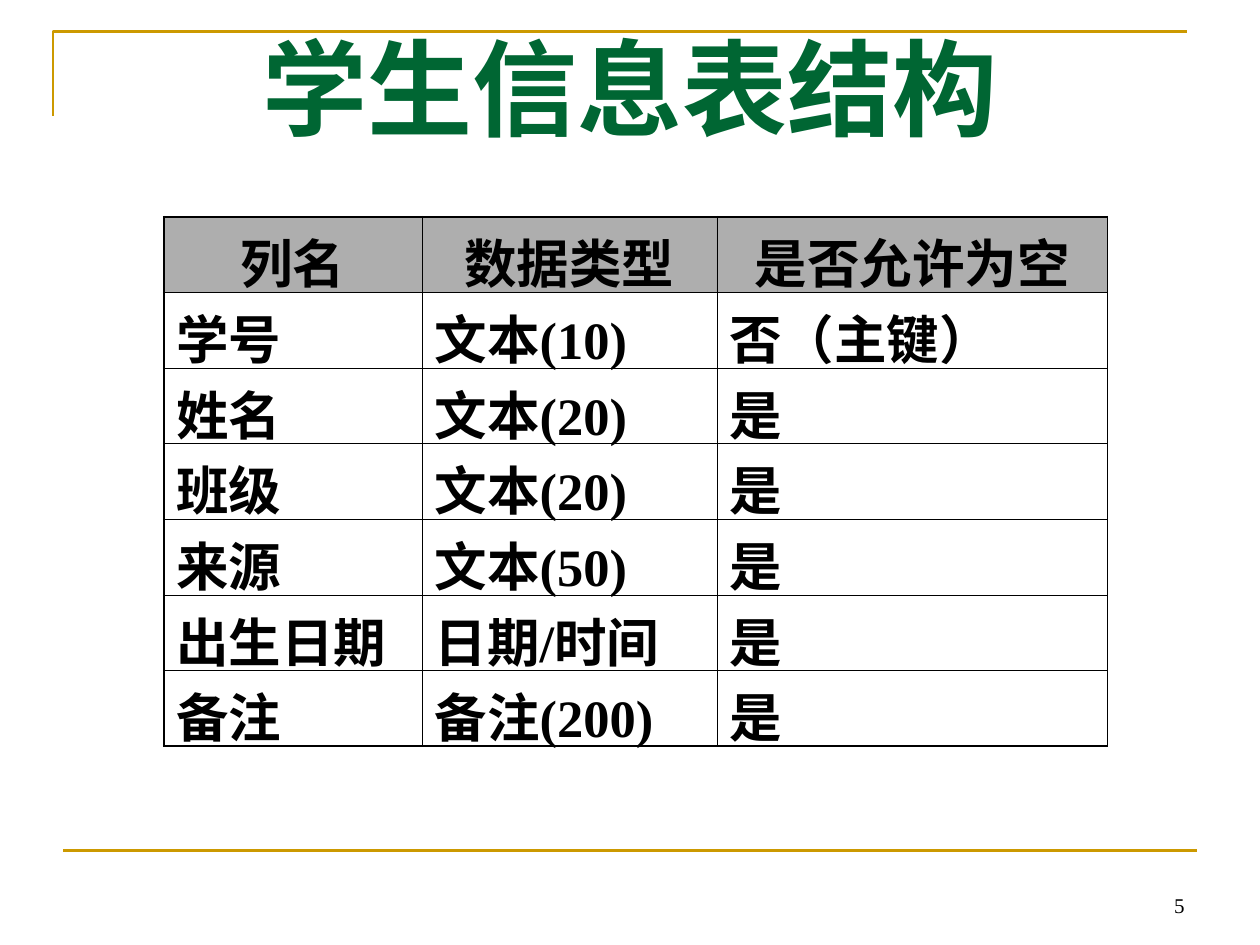
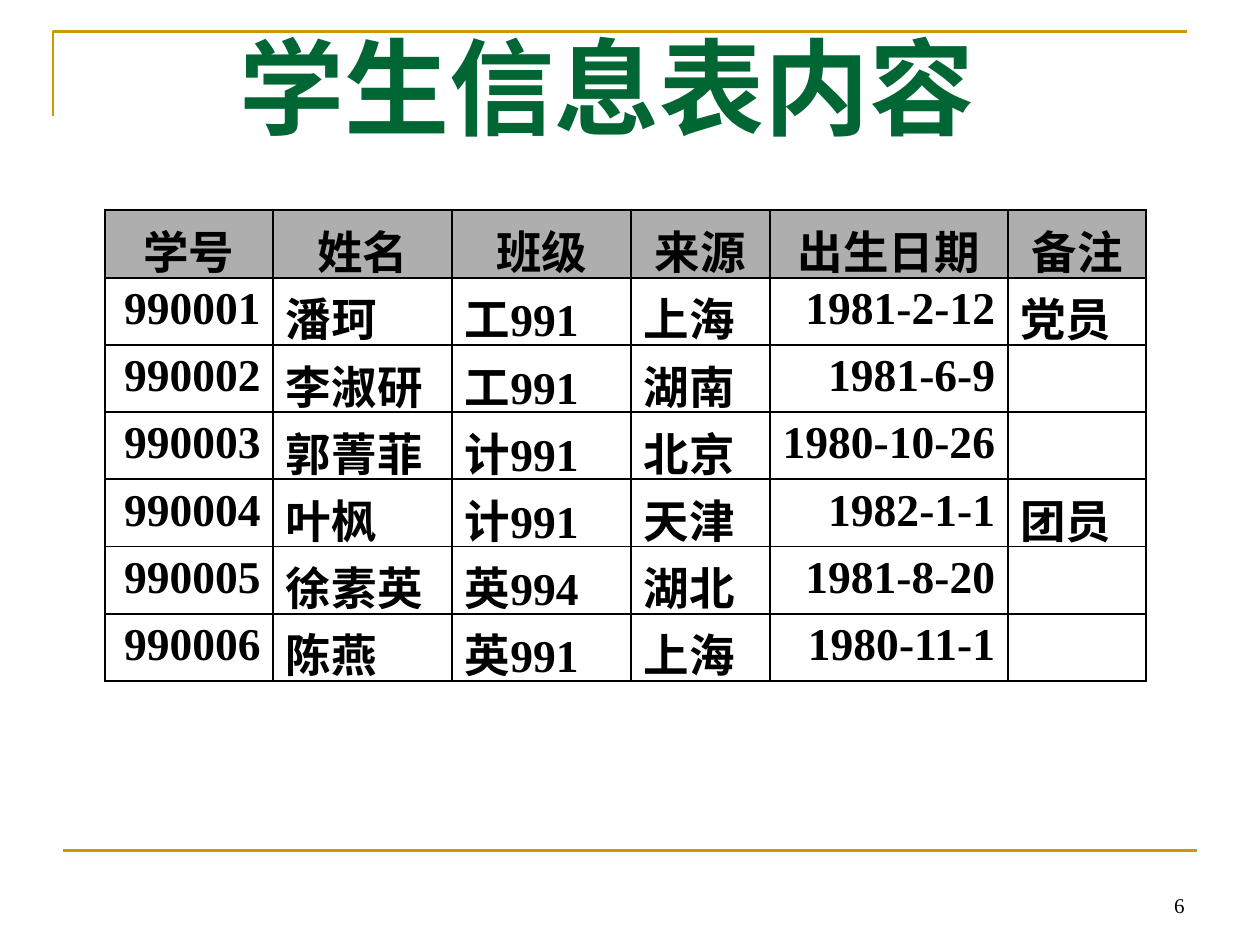
"""Build two slides that show the structure and the rows of a student table."""
from dataclasses import dataclass

from lxml.etree import SubElement
from pptx import Presentation
from pptx.dml.color import RGBColor
from pptx.enum.shapes import MSO_CONNECTOR
from pptx.enum.text import MSO_ANCHOR, PP_ALIGN
from pptx.oxml import parse_xml
from pptx.oxml.ns import nsdecls, qn
from pptx.util import Inches, Pt

SLIDES = [
    {
        "page": 5,
        "title": "学生信息表结构",
        "box": (1.14, 0.14, 7.72, 1.1),
        "at": (1.3, 1.72),
        "cols": [2.05, 2.34, 3.1],
        "row": 0.6,
        "size": 30,
        "edge": 1.08,
        "grid": 0.45,
        "fill": None,
        "head": MSO_ANCHOR.TOP,
        "right": (),
        "rows": [
            ("列名", "数据类型", "是否允许为空"),
            ("学号", "文本(10)", "否（主键）"),
            ("姓名", "文本(20)", "是"),
            ("班级", "文本(20)", "是"),
            ("来源", "文本(50)", "是"),
            ("出生日期", "日期/时间", "是"),
            ("备注", "备注(200)", "是"),
        ],
    },
    {
        "page": 6,
        "title": "学生信息表内容 ",
        "box": (1.61, 0.13, 6.61, 1.1),
        "at": (0.83, 1.67),
        "cols": [1.34, 1.42, 1.42, 1.1, 1.89, 1.1],
        "row": 0.53,
        "size": 26,
        "edge": 1.25,
        "grid": 1.25,
        "fill": "FFFFFF",
        "head": MSO_ANCHOR.MIDDLE,
        "right": (0, 4),
        "rows": [
            ("学号", "姓名", "班级", "来源", "出生日期", "备注"),
            ("990001", "潘珂", "工991", "上海", "1981-2-12", "党员"),
            ("990002", "李淑研", "工991", "湖南", "1981-6-9", ""),
            ("990003", "郭菁菲", "计991", "北京", "1980-10-26", ""),
            ("990004", "叶枫", "计991", "天津", "1982-1-1", "团员"),
            ("990005", "徐素英", "英994", "湖北", "1981-8-20", ""),
            ("990006", "陈燕", "英991", "上海", "1980-11-1", ""),
        ],
    },
]


@dataclass(frozen=True)
class Theme:
    font: str = "Times New Roman"
    ink: str = "000000"
    title: str = "006633"
    gold: str = "CC9900"
    head: str = "5F5F5F"
    alpha: int = 50
    big: int = 60
    small: int = 12
    rule: float = 1.5


THEME = Theme()


def style(para, size, color, align, bold=True):
    para.alignment = align
    font = para.font
    font.name, font.size, font.bold = THEME.font, Pt(size), bold
    font.color.rgb = RGBColor.from_string(color)


def add_text(slide, box, text, size, color, align, anchor, bold):
    frame = slide.shapes.add_textbox(*map(Inches, box)).text_frame
    frame.word_wrap = True
    frame.vertical_anchor = anchor
    frame.text = text
    style(frame.paragraphs[0], size, color, align, bold)


def add_frame(slide):
    pen = slide.shapes.build_freeform(Inches(0.42), Inches(0.92), scale=1.0)
    pen.add_line_segments(
        [(Inches(0.42), Inches(0.25)), (Inches(9.42), Inches(0.25))], close=False)
    bend = pen.convert_to_shape()
    bend.shadow.inherit = False
    bend.fill.background()
    rule = slide.shapes.add_connector(
        MSO_CONNECTOR.STRAIGHT, *map(Inches, (0.5, 6.75, 9.5, 6.75)))
    SubElement(rule._element.spPr, qn("a:effectLst"))
    for shape in (bend, rule):
        shape.line.color.rgb = RGBColor.from_string(THEME.gold)
        shape.line.width = Pt(THEME.rule)


def set_fill(cell, color, alpha=100):
    if color is None:
        cell.fill.background()
        return
    cell.fill.solid()
    cell.fill.fore_color.rgb = RGBColor.from_string(color)
    if alpha < 100:
        tint = cell._tc.tcPr.find(".//" + qn("a:srgbClr"))
        SubElement(tint, qn("a:alpha"), val=str(alpha * 1000))


def set_lines(cell, widths):
    props = cell._tc.get_or_add_tcPr()
    for spot, (side, width) in enumerate(zip("LRTB", widths)):
        props.insert(spot, parse_xml(
            f'<a:ln{side} {nsdecls("a")} w="{Pt(width)}"><a:solidFill>'
            f'<a:srgbClr val="{THEME.ink}"/></a:solidFill></a:ln{side}>'))


def add_grid(slide, data):
    rows, cols = data["rows"], data["cols"]
    size = (sum(cols), data["row"] * len(rows))
    table = slide.shapes.add_table(
        len(rows), len(cols), *map(Inches, data["at"] + size)).table
    for col, width in zip(table.columns, cols):
        col.width = Inches(width)
    for row in table.rows:
        row.height = Inches(data["row"])
    for y, row in enumerate(rows):
        for x, text in enumerate(row):
            cell = table.cell(y, x)
            cell.text = text
            align = PP_ALIGN.RIGHT if x in data["right"] else PP_ALIGN.LEFT
            if y == 0:
                align = PP_ALIGN.CENTER
                cell.vertical_anchor = data["head"]
                set_fill(cell, THEME.head, THEME.alpha)
            else:
                set_fill(cell, data["fill"])
            style(cell.text_frame.paragraphs[0], data["size"], THEME.ink, align)
            outer = (x == 0, x == len(cols) - 1, y == 0, y == len(rows) - 1)
            set_lines(cell, [data["edge"] if out else data["grid"] for out in outer])


def main():
    deck = Presentation()
    deck.slide_width, deck.slide_height = Inches(10), Inches(7.5)
    for data in SLIDES:
        slide = deck.slides.add_slide(deck.slide_layouts[6])
        add_frame(slide)
        add_text(slide, (7.17, 6.83, 2.33, 0.5), str(data["page"]), THEME.small,
                 THEME.ink, PP_ALIGN.RIGHT, MSO_ANCHOR.BOTTOM, False)
        add_text(slide, data["box"], data["title"], THEME.big,
                 THEME.title, PP_ALIGN.CENTER, MSO_ANCHOR.TOP, True)
        add_grid(slide, data)
    deck.save("out.pptx")


if __name__ == "__main__":
    main()
